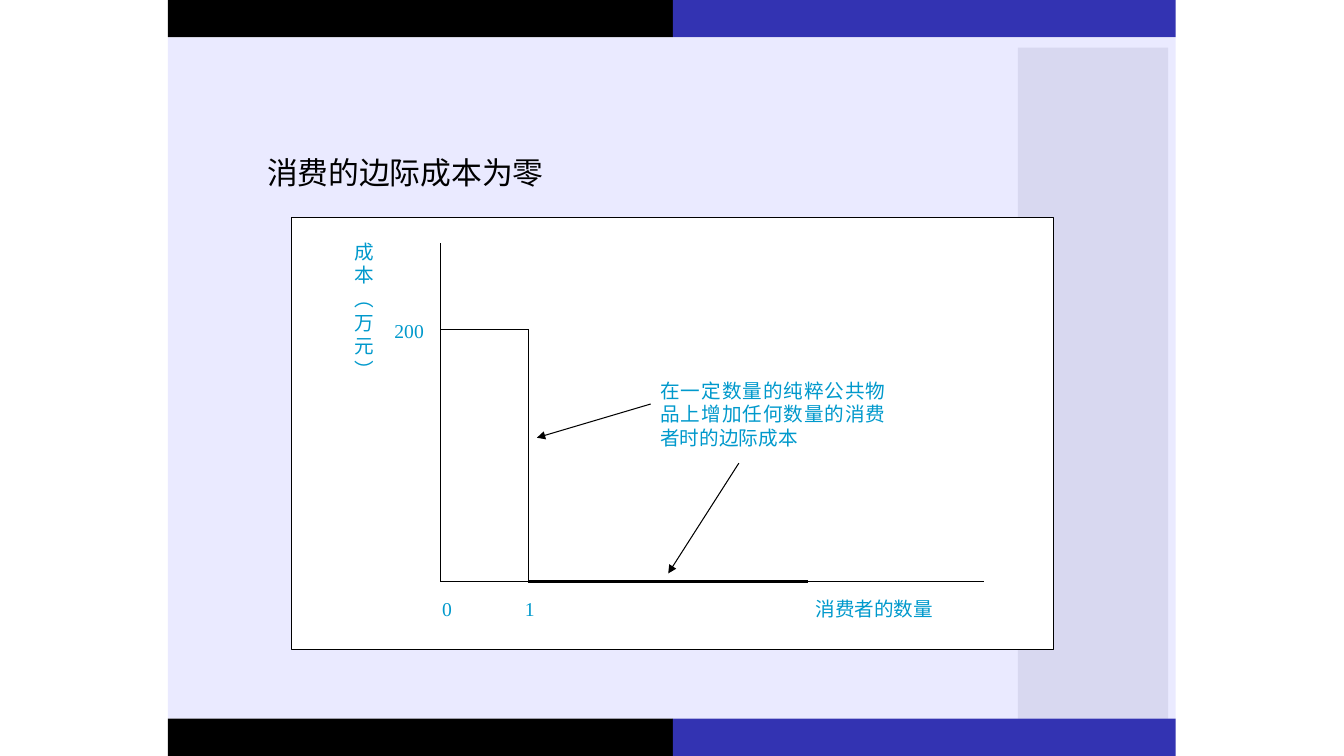
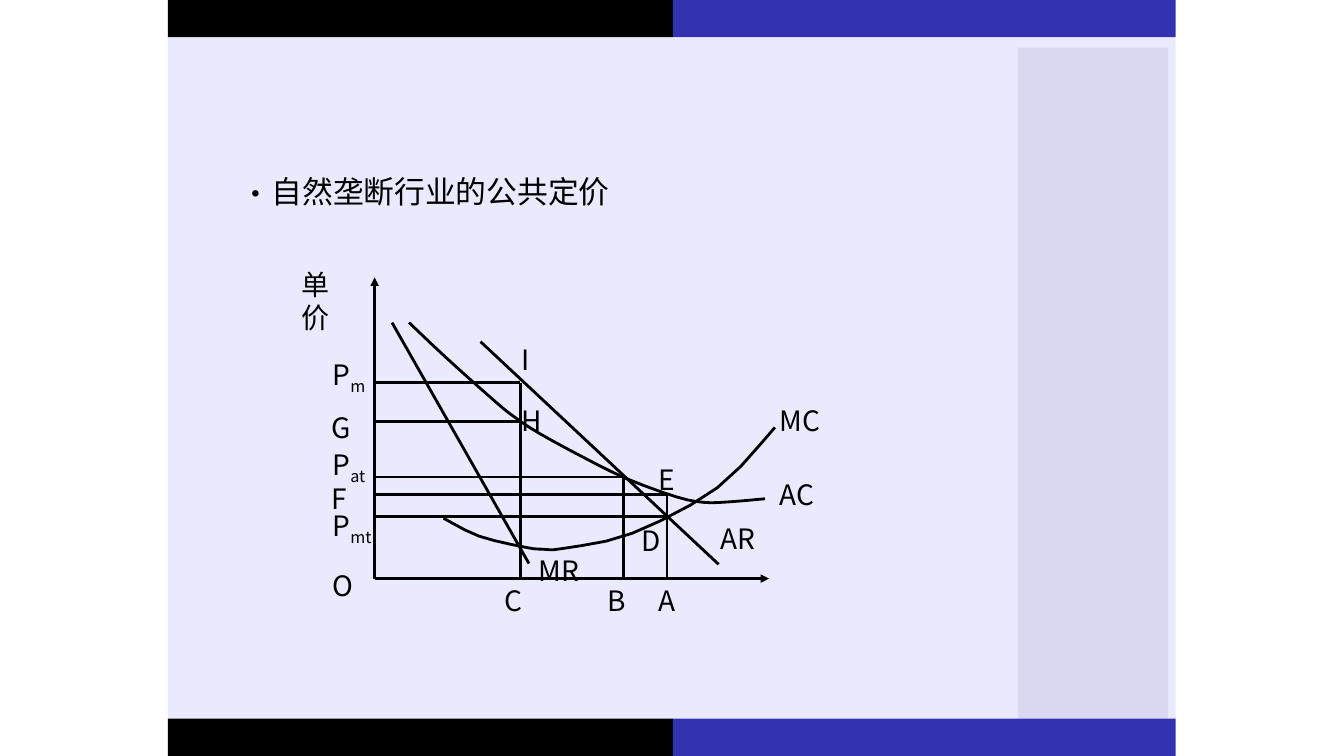
from lxml import etree
from pptx import Presentation
from pptx.dml.color import RGBColor
from pptx.enum.shapes import MSO_CONNECTOR, MSO_SHAPE
from pptx.enum.text import PP_ALIGN
from pptx.oxml.ns import qn
from pptx.util import Cm, Pt

RECT = MSO_SHAPE.RECTANGLE
LINE = MSO_CONNECTOR.STRAIGHT
LEFT, JUST = PP_ALIGN.LEFT, PP_ALIGN.JUSTIFY

BLACK = RGBColor(0x00, 0x00, 0x00)
WHITE = RGBColor(0xFF, 0xFF, 0xFF)
BLUE = RGBColor(0x33, 0x33, 0xB2)
PALE = RGBColor(0xEA, 0xEA, 0xFF)
GREY = RGBColor(0xD8, 0xD8, 0xF0)
TEAL = RGBColor(0x00, 0x99, 0xCC)

SANS, SERIF = "Noto Sans CJK SC", "Times New Roman"
THIN, MID, THICK = 0.75, 2, 2.25

# Shared frame: left, top, width, height, fill (cm)
BAND = 0.94
FRAME = [
    (4.23, BAND, 25.4, 17.17, PALE),
    (25.65, 1.2, 3.79, 16.91, GREY),
] + [
    (left, top, width, BAND, fill)
    for top in (0, 18.11)
    for left, width, fill in ((4.23, 12.73, BLACK), (16.96, 12.67, BLUE))
]

# Marginal cost chart
COST_TITLE = "消费的边际成本为零"
PANEL = (7.34, 5.49, 19.21, 10.88)
ZERO, ONE, BASE, COST = 11.1, 13.31, 14.66, 8.3
COST_LINES = [  # x1, y1, x2, y2, width, arrow
    (ZERO, BASE, 24.79, BASE, THIN, False),
    (ZERO, BASE, ZERO, 6.12, THIN, False),
    (ZERO, COST, ONE, COST, THIN, False),
    (ONE, COST, ONE, BASE, THIN, False),
    (ONE, BASE, 20.37, BASE, THICK, False),
    (18.62, 11.67, 16.84, 14.45, THIN, True),
    (16.4, 10.18, 13.53, 11.03, THIN, True),
]
COST_TEXTS = [  # text, left, top, width, height
    ("成本︵万元︶", 8.69, 5.92, 1.09, 3.84),
    ("200", 9.69, 7.92, 1.63, 0.86),
    ("在一定数量的纯粹公共物品上增加任何数量的消费者时的边际成本",
     16.39, 9.42, 6.18, 2.06),
    ("0", 10.89, 14.91, 1, 0.86),
    ("1", 12.98, 14.91, 1, 0.86),
    ("消费者的数量", 20.3, 14.91, 5, 0.86),
]

# Public pricing chart
PRICE_TITLE = "自然垄断行业的公共定价"
AXIS, FLOOR = 9.44, 14.58
QTY_C, QTY_B, QTY_A = 13.11, 15.72, 16.81
LEVELS = [  # price, quantity it reaches
    (9.64, QTY_C), (10.62, QTY_C), (12.02, QTY_B),
    (12.47, QTY_A), (13.02, QTY_A),
]
DROPS = [(QTY_C, 9.64), (QTY_B, 12.02), (QTY_A, 12.47)]
PRICE_LINES = [
    (AXIS, FLOOR, AXIS, 6.99, MID, True),
    (AXIS, FLOOR, 19.38, FLOOR, MID, True),
    (9.88, 8.13, 13.33, 14.2, MID, False),
    (12.11, 8.61, 18.11, 14.22, MID, False),
]
PRICE_LINES += [(AXIS, y, x, y, MID, False) for y, x in LEVELS]
PRICE_LINES += [(x, y, x, FLOOR, MID, False) for x, y in DROPS]
CURVES = [
    # average cost
    [(10.31, 8.13), (11.25, 9.02), (12.47, 10.11), (12.98, 10.52),
     (13.59, 10.92), (14.71, 11.53), (15.81, 12.07), (17.04, 12.52),
     (17.73, 12.66), (18.35, 12.65), (19.28, 12.57)],
    # marginal cost
    [(11.18, 13.06), (12.07, 13.51), (13.23, 13.79), (13.69, 13.84),
     (14.2, 13.82), (15.93, 13.44), (18.08, 12.29), (19.53, 10.77)],
]
MARKS = [  # text, subscript, left, top
    ("单价", "", 7.34, 6.61),
    ("P", "m", 8.13, 8.89), ("G", "", 8.1, 10.21),
    ("P", "at", 8.13, 11.15), ("F", "", 8.1, 12.01),
    ("P", "mt", 8.13, 12.68), ("O", "", 8.13, 14.2),
    ("I", "", 12.9, 8.51), ("H", "", 12.9, 10.04),
    ("E", "", 16.35, 11.53), ("D", "", 15.92, 13.06),
    ("MC", "", 19.39, 10.04), ("AC", "", 19.39, 11.91),
    ("MR", "", 13.33, 13.82), ("AR", "", 17.91, 13.01),
    ("C", "", 12.46, FLOOR), ("B", "", 15.06, FLOOR), ("A", "", 16.35, FLOOR),
]


def add_rect(slide, left, top, width, height, fill):
    rect = slide.shapes.add_shape(RECT, Cm(left), Cm(top), Cm(width), Cm(height))
    rect.shadow.inherit = False
    rect.fill.solid()
    rect.fill.fore_color.rgb = fill
    rect.line.fill.background()
    return rect


def ink(line, width):
    line.color.rgb = BLACK
    line.width = Pt(width)


def add_line(slide, x1, y1, x2, y2, width, arrow):
    link = slide.shapes.add_connector(LINE, Cm(x1), Cm(y1), Cm(x2), Cm(y2))
    ink(link.line, width)
    if arrow:
        tail = etree.SubElement(link.line._get_or_add_ln(), qn("a:tailEnd"))
        tail.set("type", "triangle")
    etree.SubElement(link._element.spPr, qn("a:effectLst"))


def smooth(knots, steps=3):
    """Return points of a Catmull-Rom spline through the knots."""
    ends = [knots[0], *knots, knots[-1]]
    points = [knots[0]]
    for a, b, c, d in zip(ends, ends[1:], ends[2:], ends[3:]):
        for step in range(1, steps + 1):
            t = step / steps
            points.append(tuple(
                q + t / 2 * (r - p + t * (2 * p - 5 * q + 4 * r - s
                                          + t * (3 * (q - r) + s - p)))
                for p, q, r, s in zip(a, b, c, d)))
    return points


def add_curve(slide, knots):
    points = [(Cm(x), Cm(y)) for x, y in smooth(knots)]
    pen = slide.shapes.build_freeform(*points[0])
    pen.add_line_segments(points[1:], close=False)
    curve = pen.convert_to_shape()
    curve.shadow.inherit = False
    curve.fill.background()
    ink(curve.line, MID)


def add_text(slide, text, left, top, width, height, size, face, color, align=JUST):
    box = slide.shapes.add_textbox(Cm(left), Cm(top), Cm(width), Cm(height))
    box.text_frame.word_wrap = True
    para = box.text_frame.paragraphs[0]
    para.text = text
    para.alignment = align
    para.font.size = Pt(size)
    para.font.name = face
    para.font.color.rgb = color
    return para


def add_title(slide, text, left, top):
    return add_text(slide, text, left, top, 20, 1.5, 22, SANS, BLACK, LEFT)


def add_bullet(para):
    props = para._p.get_or_add_pPr()
    props.set("marL", str(Cm(0.64)))
    props.set("indent", str(-Cm(0.64)))
    fonts = props.find(qn("a:defRPr"))
    for tag, key, value in (("a:buFont", "typeface", SANS),
                            ("a:buChar", "char", "•")):
        mark = etree.Element(qn(tag))
        mark.set(key, value)
        fonts.addprevious(mark)


def new_slide(deck):
    slide = deck.slides.add_slide(deck.slide_layouts[6])
    for part in FRAME:
        add_rect(slide, *part)
    return slide


def cost_slide(deck):
    slide = new_slide(deck)
    ink(add_rect(slide, *PANEL, WHITE).line, THIN)
    add_title(slide, COST_TITLE, 6.48, 3.76)
    for line in COST_LINES:
        add_line(slide, *line)
    for item in COST_TEXTS:
        add_text(slide, *item, 14, SERIF, TEAL)


def price_slide(deck):
    slide = new_slide(deck)
    title = add_title(slide, PRICE_TITLE, 5.82, 4.34)
    title.line_spacing = 0.9
    add_bullet(title)
    for line in PRICE_LINES:
        add_line(slide, *line)
    for knots in CURVES:
        add_curve(slide, knots)
    for text, sub, left, top in MARKS:
        para = add_text(slide, text, left, top, 1.73, 1.14, 20, SANS, BLACK)
        if sub:
            run = para.add_run()
            run.text = sub
            run._r.get_or_add_rPr().set("baseline", "-25000")


def main():
    deck = Presentation()
    deck.slide_width, deck.slide_height = Cm(33.87), Cm(19.05)
    cost_slide(deck)
    price_slide(deck)
    deck.save("out.pptx")


if __name__ == "__main__":
    main()
